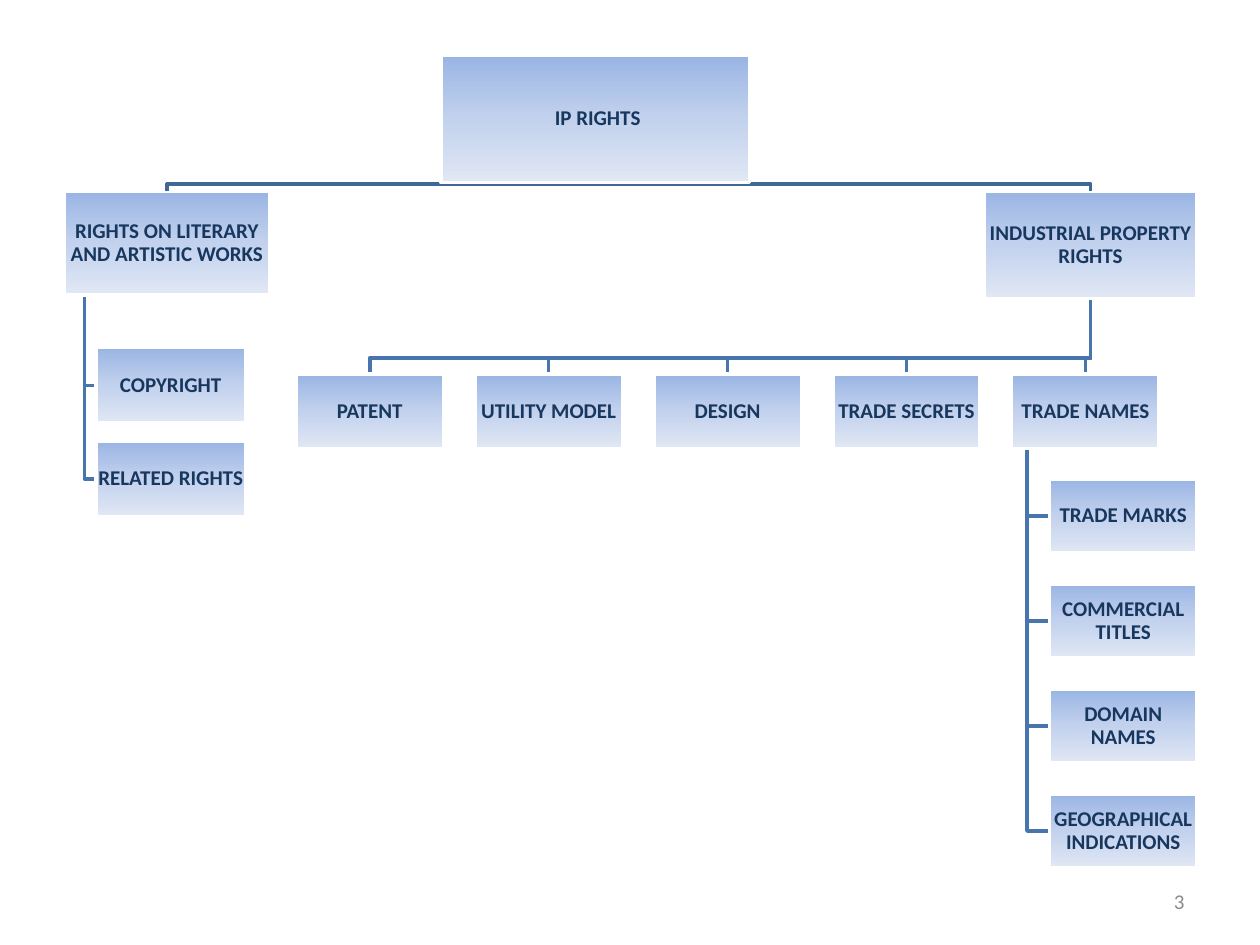
from collections import namedtuple
from copy import deepcopy

from pptx import Presentation
from pptx.dml.color import RGBColor
from pptx.enum.shapes import MSO_SHAPE
from pptx.enum.text import MSO_ANCHOR, PP_ALIGN
from pptx.util import Inches, Pt

RECTANGLE = MSO_SHAPE.RECTANGLE
MIDDLE = MSO_ANCHOR.MIDDLE
CENTER, RIGHT = PP_ALIGN.CENTER, PP_ALIGN.RIGHT

FONT = "Calibri"
COLORS = {
    "box_top": "9AB5E4",
    "box_middle": "C2D1ED",
    "box_bottom": "E1E8F5",
    "outline": "FFFFFF",
    "text": "17375E",
    "main_line": "3F6797",
    "branch_line": "4875AC",
    "page_number": "8C8C8C",
}
LEAF_WIDTH, LEAF_HEIGHT = 1.17, 0.59

# All box values are in inches.
Box = namedtuple("Box", "left top width height")


def color(name):
    return RGBColor.from_string(COLORS[name])


def lengths(box):
    return [Inches(value) for value in box]


def center_x(box):
    return box.left + box.width / 2


def center_y(box):
    return box.top + box.height / 2


def bottom(box):
    return box.top + box.height


def write_text(shape, text, *, text_color="text", bold=True, align=CENTER,
               inset=0.01, line_spacing=0.9):
    frame = shape.text_frame
    frame.word_wrap = True
    frame.vertical_anchor = MIDDLE
    if inset is not None:
        frame.margin_left = frame.margin_right = Inches(inset)
        frame.margin_top = frame.margin_bottom = Inches(inset)
    paragraph = frame.paragraphs[0]
    paragraph.alignment = align
    paragraph.line_spacing = line_spacing
    run = paragraph.add_run()
    run.text = text
    run.font.name = FONT
    run.font.size = Pt(12)
    run.font.bold = bold
    run.font.color.rgb = color(text_color)


def fill_gradient(shape):
    fill = shape.fill
    fill.gradient()
    fill.gradient_angle = 270
    stop_list = shape.element.spPr.xpath(".//a:gsLst")[0]
    stop_list.insert(1, deepcopy(stop_list[0]))
    names = ("box_top", "box_middle", "box_bottom")
    for stop, name, position in zip(fill.gradient_stops, names, (0, 0.5, 1)):
        stop.color.rgb = color(name)
        stop.position = position


def add_box(slide, box, text):
    shape = slide.shapes.add_shape(RECTANGLE, *lengths(box))
    shape.shadow.inherit = False
    fill_gradient(shape)
    shape.line.color.rgb = color("outline")
    shape.line.width = Pt(2)
    write_text(shape, text)


def add_path(slide, points, line_color="branch_line"):
    """Draw an open angled line through points given in inches."""
    start, *others = [(Inches(x), Inches(y)) for x, y in points]
    builder = slide.shapes.build_freeform(*start)
    builder.add_line_segments(others, close=False)
    shape = builder.convert_to_shape()
    shape.shadow.inherit = False
    shape.fill.background()
    shape.line.color.rgb = color(line_color)
    shape.line.width = Pt(2)


def add_side_children(slide, parent, trunk_x, children):
    """Hang a column of boxes on a trunk that leaves the parent's bottom."""
    for child in children.values():
        add_path(slide, [(trunk_x, bottom(parent)),
                         (trunk_x, center_y(child)),
                         (child.left, center_y(child))])
    for text, child in children.items():
        add_box(slide, child, text)


def draw_literary_branch(slide, area):
    parent = Box(area.left, area.top, area.width, 0.82)
    names = ["COPYRIGHT", "RELATED RIGHTS"]
    children = {
        name: Box(area.left + 0.25, area.top + 1.24 + index * 0.74, 1.19, 0.6)
        for index, name in enumerate(names)
    }
    add_side_children(slide, parent, area.left + 0.16, children)
    add_box(slide, parent, "RIGHTS ON LITERARY AND ARTISTIC WORKS")
    return parent


def draw_industrial_branch(slide, area):
    right = area.left + area.width
    parent = Box(right - 1.69, area.top, 1.69, 0.85)
    names = ["PATENT", "UTILITY MODEL", "DESIGN", "TRADE SECRETS", "TRADE NAMES"]
    row = {
        name: Box(area.left + index * 1.42, area.top + 1.45, LEAF_WIDTH, LEAF_HEIGHT)
        for index, name in enumerate(names)
    }
    rail_y = area.top + 1.32
    for child in row.values():
        add_path(slide, [(center_x(parent), bottom(parent)),
                         (center_x(parent), rail_y),
                         (center_x(child), rail_y),
                         (center_x(child), child.top)])

    trade_names = row["TRADE NAMES"]
    sign_names = ["TRADE MARKS", "COMMERCIAL TITLES", "DOMAIN NAMES",
                  "GEOGRAPHICAL INDICATIONS"]
    pitch = 2.5 / 3
    signs = {
        name: Box(right - LEAF_WIDTH, area.top + 2.28 + index * pitch,
                  LEAF_WIDTH, LEAF_HEIGHT)
        for index, name in enumerate(sign_names)
    }
    add_side_children(slide, trade_names, trade_names.left + 0.12, signs)
    for text, child in row.items():
        add_box(slide, child, text)
    add_box(slide, parent, "INDUSTRIAL PROPERTY RIGHTS")
    return parent


def draw_root(slide, box, branches):
    rail_y = bottom(box) + 0.01
    for branch in branches:
        add_path(slide, [(center_x(box), rail_y),
                         (center_x(branch), rail_y),
                         (center_x(branch), branch.top)], "main_line")
    add_box(slide, box, " IP RIGHTS")


def draw_page_number(slide, box):
    shape = slide.shapes.add_textbox(*lengths(box))
    write_text(shape, "3", text_color="page_number", bold=False, align=RIGHT,
               inset=None, line_spacing=1.0)


def main():
    presentation = Presentation()
    presentation.slide_width = Inches(10)
    presentation.slide_height = Inches(7.5)
    slide = presentation.slides.add_slide(presentation.slide_layouts[6])
    branches = [
        draw_literary_branch(slide, Box(0.51, 1.52, 1.63, 2.57)),
        draw_industrial_branch(slide, Box(2.35, 1.52, 7.15, 5.37)),
    ]
    draw_root(slide, Box(3.5, 0.44, 2.45, 1.01), branches)
    draw_page_number(slide, Box(7.17, 6.95, 2.33, 0.4))
    presentation.save("out.pptx")


if __name__ == "__main__":
    main()
